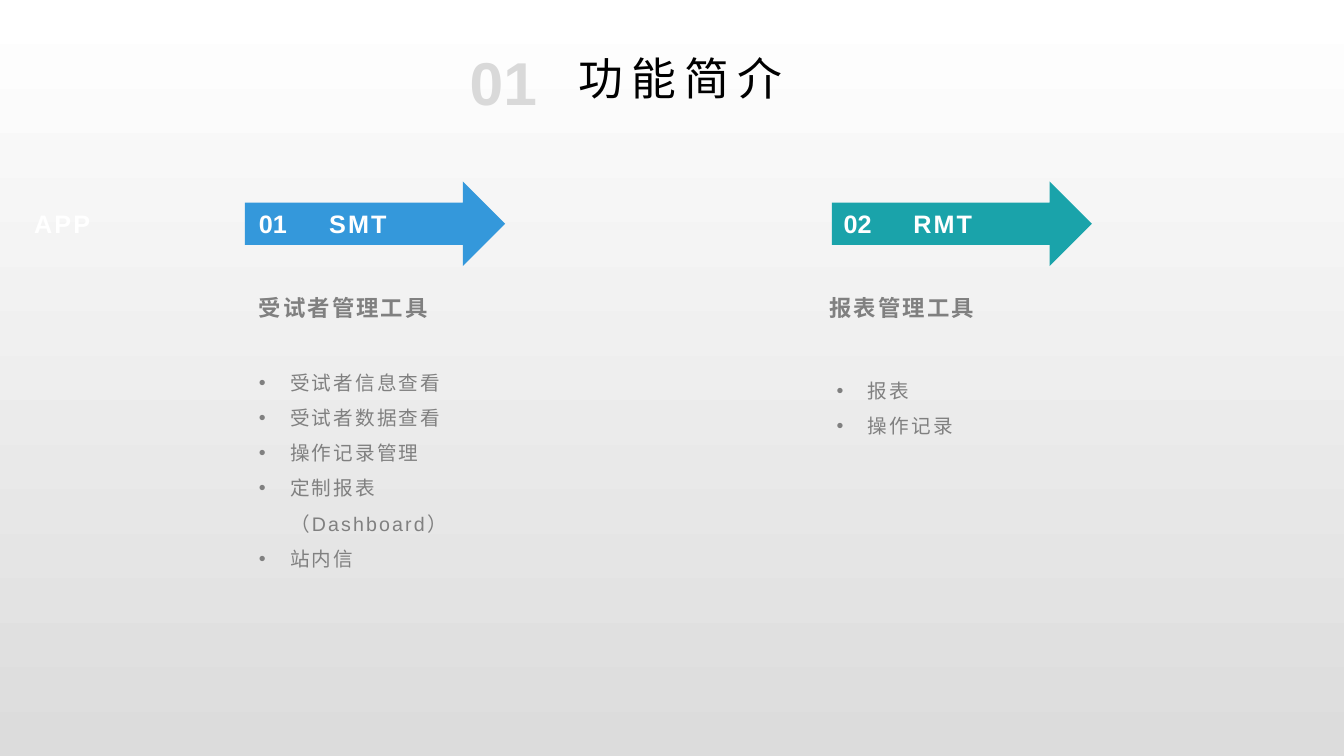
from lxml.etree import SubElement
from pptx import Presentation
from pptx.dml.color import RGBColor
from pptx.enum.shapes import MSO_SHAPE as Shape
from pptx.enum.text import MSO_ANCHOR as Anchor, PP_ALIGN as Align
from pptx.oxml.ns import qn
from pptx.util import Inches, Pt

FONT = "Arial"
WHITE, BLACK, GRAY, PALE = "FFFFFF", "000000", "808080", "D9D9D9"
BACKGROUND = (WHITE, "DCDCDC")
TITLE = "功能简介"
SECTION = "01"
SIDE_LABEL = "APP"
TOOLS = [
    {
        "number": "01", "name": "SMT", "color": "3498DB",
        "arrow_left": 2.43, "number_left": 2.47, "name_box": (2.95, 1.2),
        "heading": "受试者管理工具", "heading_left": 2.47,
        "features": ["受试者信息查看", "受试者数据查看", "操作记录管理",
                     "定制报表 （Dashboard）", "站内信"],
        "features_box": (2.47, 3.51, 2.9, 2.22),
    },
    {
        "number": "02", "name": "RMT", "color": "1AA3AA",
        "arrow_left": 8.25, "number_left": 8.27, "name_box": (8.79, 1.12),
        "heading": "报表管理工具", "heading_left": 8.13,
        "features": ["报表", "操作记录"],
        "features_box": (8.2, 3.59, 2.88, 0.81),
    },
]
ARROW_TOP, ARROW_WIDTH, ARROW_HEIGHT = 1.8, 2.58, 0.84
LABEL_TOP, LABEL_HEIGHT = 2.02, 0.4
HEADING_TOP, HEADING_WIDTH, HEADING_HEIGHT = 2.87, 2.3, 0.37
BULLET_INDENT = Inches(0.31)


def rgb(value):
    return RGBColor.from_string(value)


def add_bullet(paragraph):
    properties = paragraph._p.get_or_add_pPr()
    properties.set("marL", str(BULLET_INDENT))
    properties.set("indent", str(-BULLET_INDENT))
    SubElement(properties, qn("a:buFont")).set("typeface", FONT)
    SubElement(properties, qn("a:buChar")).set("char", "•")


def add_text(slide, box, lines, size, color, bold=False, tracking=0,
             align=Align.LEFT, anchor=Anchor.TOP, spacing=None, bullets=False):
    shape = slide.shapes.add_textbox(*map(Inches, box))
    frame = shape.text_frame
    frame.word_wrap = True
    frame.vertical_anchor = anchor
    frame.text = "\n".join(lines)
    for paragraph in frame.paragraphs:
        paragraph.alignment = align
        if spacing:
            paragraph.line_spacing = spacing
        if bullets:
            add_bullet(paragraph)
        font = paragraph.font
        font.name, font.size, font.bold = FONT, Pt(size), bold
        font.color.rgb = rgb(color)
        for run in paragraph.runs:
            run._r.get_or_add_rPr().set("spc", str(int(tracking * 100)))
    return frame


def add_tool(slide, tool):
    arrow = slide.shapes.add_shape(
        Shape.RIGHT_ARROW, Inches(tool["arrow_left"]), Inches(ARROW_TOP),
        Inches(ARROW_WIDTH), Inches(ARROW_HEIGHT))
    arrow.shadow.inherit = False
    arrow.fill.solid()
    arrow.fill.fore_color.rgb = rgb(tool["color"])
    arrow.line.fill.background()

    name_left, name_width = tool["name_box"]
    add_text(slide, (tool["number_left"], LABEL_TOP, 0.53, LABEL_HEIGHT),
             [tool["number"]], 18, WHITE, bold=True)
    add_text(slide, (name_left, LABEL_TOP, name_width, LABEL_HEIGHT),
             [tool["name"]], 18, WHITE, bold=True, tracking=1.5, align=Align.CENTER)
    add_text(slide, (tool["heading_left"], HEADING_TOP, HEADING_WIDTH, HEADING_HEIGHT),
             [tool["heading"]], 16, GRAY, bold=True, tracking=1.5)
    add_text(slide, tool["features_box"], tool["features"], 14, GRAY,
             tracking=1.5, spacing=1.5, bullets=True)


def main():
    presentation = Presentation()
    presentation.slide_width, presentation.slide_height = Inches(13.33), Inches(7.5)
    slide = presentation.slides.add_slide(presentation.slide_layouts[6])

    fill = slide.background.fill
    fill.gradient()
    fill.gradient_angle = 270
    for stop, color in zip(fill.gradient_stops, BACKGROUND):
        stop.color.rgb = rgb(color)

    title = add_text(slide, (0.78, 0.44, 11.87, 0.65), [TITLE], 32, BLACK,
                     tracking=6, align=Align.CENTER, anchor=Anchor.MIDDLE)
    title.margin_right = Inches(0.03)
    add_text(slide, (0.24, LABEL_TOP, 0.9, LABEL_HEIGHT), [SIDE_LABEL], 18, WHITE,
             bold=True, tracking=1.5)
    for tool in TOOLS:
        add_tool(slide, tool)
    section = add_text(slide, (4.56, 0.22, 1.11, 1.03), [SECTION], 43.2, PALE,
                       bold=True, anchor=Anchor.MIDDLE, spacing=1.2)
    section.paragraphs[0].space_before = Pt(10)
    presentation.save("out.pptx")


if __name__ == "__main__":
    main()
